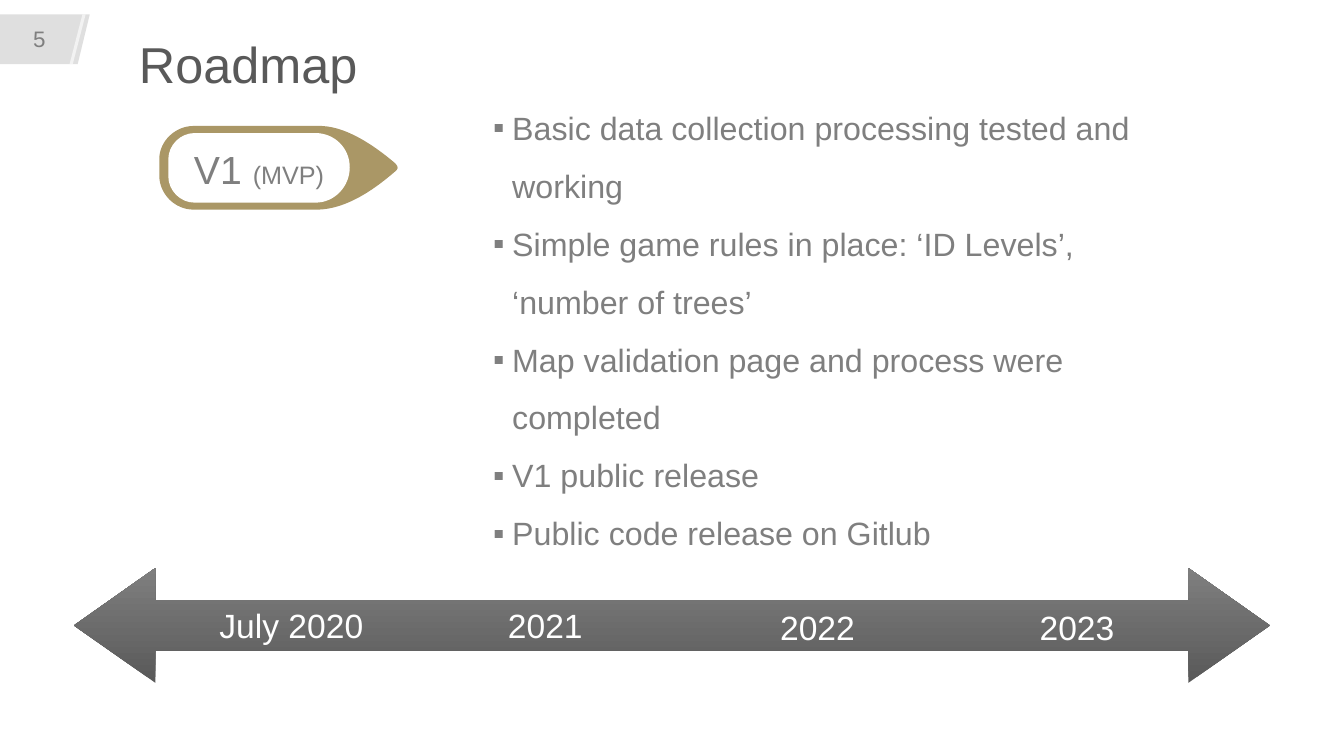
from dataclasses import dataclass

from lxml.etree import SubElement
from pptx import Presentation
from pptx.dml.color import RGBColor
from pptx.enum.shapes import MSO_SHAPE
from pptx.enum.text import MSO_ANCHOR, PP_ALIGN
from pptx.oxml.ns import qn
from pptx.shapes.autoshape import Shape
from pptx.slide import Slide
from pptx.text.text import _Paragraph
from pptx.util import Inches, Pt

FONT = "Arial"
WHITE = RGBColor(0xFF, 0xFF, 0xFF)
SILVER = RGBColor(0xD8, 0xD8, 0xD8)
GRAY = RGBColor(0x7F, 0x7F, 0x7F)
CHARCOAL = RGBColor(0x59, 0x59, 0x59)
GOLD = RGBColor(0xAA, 0x97, 0x66)

CELL = Inches(0.1)
COLUMNS, ROWS = 133.33, 75

Point = tuple[float, float]
Segment = tuple[float, ...]


@dataclass(frozen=True)
class Area:
    column: float
    row: float
    columns: float
    rows: float


@dataclass(frozen=True)
class Span:
    text: str
    size: float


@dataclass(frozen=True)
class Outline:
    start: Point
    segments: list[Segment]
    color: RGBColor
    opacity: int = 100


@dataclass(frozen=True)
class Year:
    label: str
    center: float
    row: float


PAGE_TAB = Outline((0, 1.43), [(8.9, 1.43), (7.7, 6.37), (0, 6.37)], SILVER, 82)
BADGE = [
    Outline((19.2, 12.5), [
        (31.6, 12.5),
        (31.9, 12.5),
        (34.8, 12.6, 37.9, 15.1, 39.2, 16.2),
        (39.6, 16.6, 39.5, 16.8, 39.1, 17.1),
        (37.8, 18.2, 34.7, 20.8, 31.4, 20.8),
        (19.2, 20.8),
        (17.4, 20.8, 15.8, 19.3, 15.8, 17.4),
        (15.8, 15.8),
        (15.8, 14, 17.4, 12.5, 19.2, 12.5),
    ], GOLD),
    Outline((19.3, 13.2), [
        (25.4, 13.2),
        (28.5, 13.2),
        (31.3, 13.2),
        (33.2, 13.2, 34.7, 14.7, 34.7, 16.6),
        (34.7, 18.5, 33.2, 20.1, 31.3, 20.1),
        (28.5, 20.1),
        (25.4, 20.1),
        (19.3, 20.1),
        (17.9, 20.1, 16.7, 18.9, 16.7, 17.5),
        (16.7, 15.8),
        (16.7, 14.4, 17.9, 13.2, 19.3, 13.2),
    ], WHITE),
]
MILESTONES = [
    "Basic data collection processing tested and working",
    "Simple game rules in place: ‘ID Levels’, ‘number of trees’",
    "Map validation page and process were completed",
    "V1 public release",
    "Public code release on Gitlub",
]
YEARS = [
    Year("July 2020", 28.9, 59.5),
    Year("2021", 54.1, 59.5),
    Year("2022", 81.1, 59.7),
    Year("2023", 106.85, 59.7),
]
YEAR_COLUMNS, YEAR_ROWS = 16.4, 5


def grid(cells: float) -> int:
    return round(cells * CELL)


def place(area: Area) -> tuple[int, int, int, int]:
    return grid(area.column), grid(area.row), grid(area.columns), grid(area.rows)


def paint(shape: Shape, color: RGBColor, opacity: int = 100) -> None:
    shape.shadow.inherit = False
    shape.line.fill.background()
    shape.fill.solid()
    shape.fill.fore_color.rgb = color
    if opacity < 100:
        tint = shape.fill._xPr.find(qn("a:solidFill"))[0]
        SubElement(tint, qn("a:alpha"), val=str(opacity * 1000))


def bend(shape: Shape, segments: list[Segment]) -> None:
    lines = iter(list(shape._element.iter(qn("a:lnTo"))))
    for segment in segments:
        corner = next(lines)
        if len(segment) == 2:
            continue
        corner.tag = qn("a:cubicBezTo")
        for extra in (next(lines), next(lines)):
            corner.append(extra[0])
            extra.getparent().remove(extra)


def draw_outline(page: Slide, outline: Outline) -> None:
    vertices = [
        (grid(across), grid(down))
        for segment in outline.segments
        for across, down in zip(segment[::2], segment[1::2])
    ]
    builder = page.shapes.build_freeform(*map(grid, outline.start))
    builder.add_line_segments(vertices, close=True)
    shape = builder.convert_to_shape()
    bend(shape, outline.segments)
    paint(shape, outline.color, outline.opacity)


def add_bullet(para: _Paragraph) -> None:
    properties = para._p.get_or_add_pPr()
    properties.set("marL", str(Inches(0.19)))
    properties.set("indent", str(Inches(-0.26)))
    bullet_color = SubElement(properties, qn("a:buClr"))
    SubElement(bullet_color, qn("a:srgbClr"), val=str(GRAY))
    SubElement(properties, qn("a:buFont"), typeface=FONT)
    SubElement(properties, qn("a:buChar"), char="▪")


def write(page: Slide, area: Area, paragraphs: list[list[Span]], *,
          color: RGBColor = GRAY, align: PP_ALIGN = PP_ALIGN.LEFT,
          anchor: MSO_ANCHOR = MSO_ANCHOR.TOP, spacing: float = 1.0,
          bullets: bool = False, wrap: bool = True) -> None:
    frame = page.shapes.add_textbox(*place(area)).text_frame
    frame.word_wrap = wrap
    frame.vertical_anchor = anchor
    for index, spans in enumerate(paragraphs):
        para = frame.add_paragraph() if index else frame.paragraphs[0]
        if bullets:
            add_bullet(para)
        para.alignment = align
        para.line_spacing = spacing
        for span in spans:
            run = para.add_run()
            run.text = span.text
            run.font.name = FONT
            run.font.size = Pt(span.size)
            run.font.color.rgb = color


def draw_timeline(page: Slide) -> None:
    arrow = page.shapes.add_shape(
        MSO_SHAPE.LEFT_RIGHT_ARROW, *place(Area(7.33, 56.35, 118.65, 11.4)))
    arrow.adjustments[0] = 0.44
    arrow.adjustments[1] = 0.71
    arrow.shadow.inherit = False
    arrow.line.fill.background()
    arrow.fill.gradient()
    arrow.fill.gradient_angle = 90
    for stop, color in zip(arrow.fill.gradient_stops, (CHARCOAL, GRAY)):
        stop.color.rgb = color
    for year in YEARS:
        area = Area(year.center - YEAR_COLUMNS / 2, year.row, YEAR_COLUMNS, YEAR_ROWS)
        write(page, area, [[Span(year.label, 24)]], color=WHITE,
              align=PP_ALIGN.CENTER, wrap=False)


def main() -> None:
    deck = Presentation()
    deck.slide_width, deck.slide_height = grid(COLUMNS), grid(ROWS)
    page = deck.slides.add_slide(deck.slide_layouts[6])

    draw_outline(page, PAGE_TAB)
    stripe = page.shapes.add_shape(
        MSO_SHAPE.PARALLELOGRAM, *place(Area(6.9, 1.43, 1.6, 4.94)))
    stripe.adjustments[0] = 0.8
    paint(stripe, WHITE, 60)
    write(page, Area(12.8, 2.9, 111, 7.6), [[Span("Roadmap", 36)]],
          color=CHARCOAL, anchor=MSO_ANCHOR.MIDDLE, spacing=0.9)
    write(page, Area(2.3, 1.8, 6.9, 4), [[Span("5", 16)]], anchor=MSO_ANCHOR.MIDDLE)

    for outline in BADGE:
        draw_outline(page, outline)
    write(page, Area(18.15, 13.9, 15.1, 5.7), [[Span("V1 ", 28), Span("(MVP)", 18)]],
          align=PP_ALIGN.CENTER, wrap=False)
    write(page, Area(47.93, 8.34, 69.6, 45.5), [[Span(text, 23)] for text in MILESTONES],
          spacing=1.5, bullets=True)
    draw_timeline(page)
    deck.save("out.pptx")


if __name__ == "__main__":
    main()
